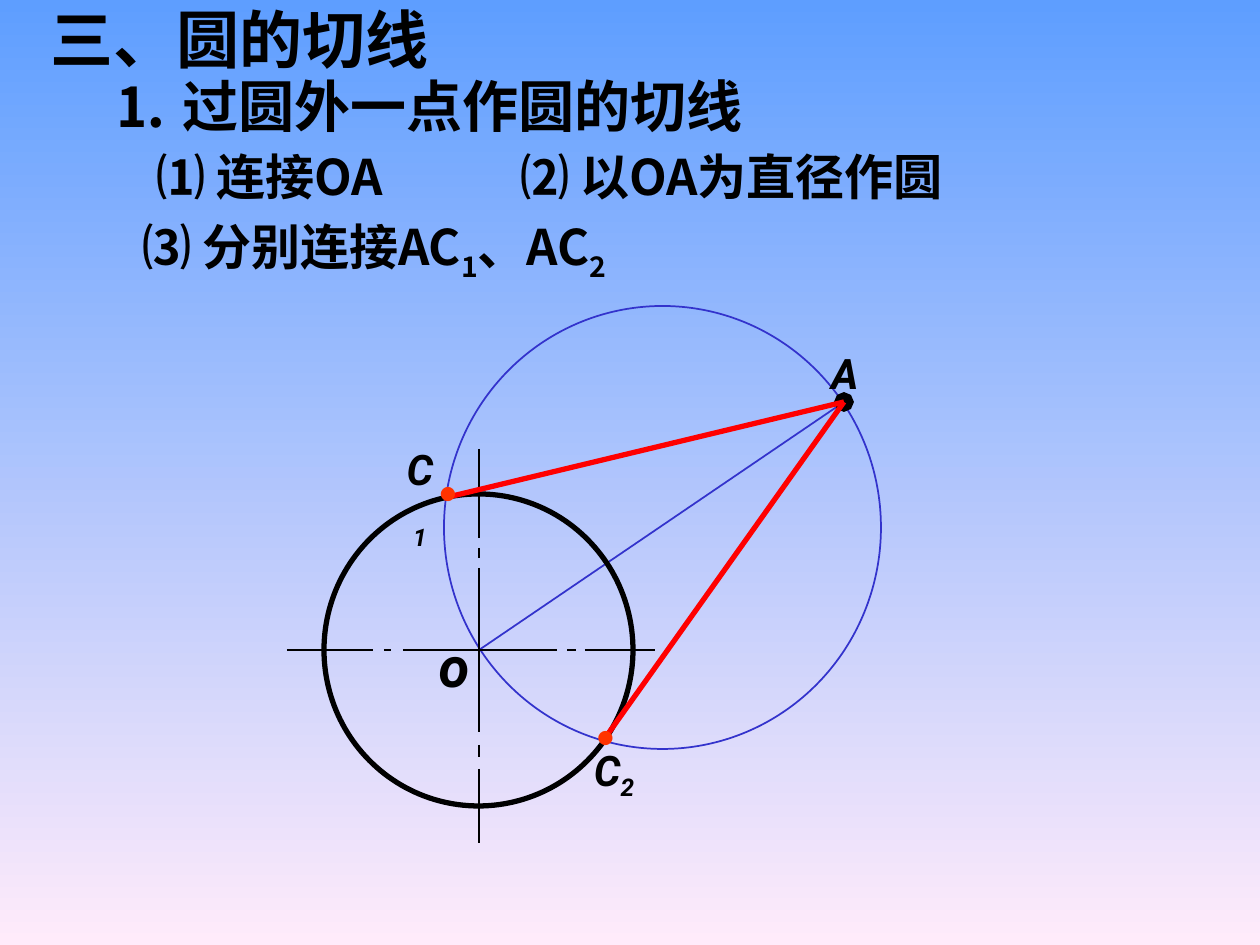
from math import cos, pi, sin

from lxml.etree import SubElement
from pptx import Presentation
from pptx.dml.color import RGBColor
from pptx.enum.shapes import MSO_CONNECTOR, MSO_SHAPE
from pptx.enum.text import MSO_ANCHOR, MSO_AUTO_SIZE, PP_ALIGN
from pptx.oxml.ns import qn
from pptx.util import Inches, Pt

PX = Inches(10) / 1260
COLORS = {
    "sky": "5E9EFF",
    "pink": "FFEBFA",
    "ink": "000000",
    "construction": "3333CC",
    "tangent": "FF0000",
    "contact": "FF3300",
}
HAN, LATIN = "Noto Sans CJK SC", "Roboto"

prs = Presentation()
prs.slide_width, prs.slide_height = Inches(10), Inches(7.5)
slide = prs.slides.add_slide(prs.slide_layouts[5])
shapes = slide.shapes

background = slide.background.fill
background.gradient()
background.gradient_angle = 270
for stop, name in zip(background.gradient_stops, ("sky", "pink")):
    stop.color.rgb = RGBColor.from_string(COLORS[name])


def write(holder, box, pieces, size, font=HAN, color="ink", centred=False, wrap=False):
    """Place a text holder and fill it; every second piece is a subscript."""
    holder.left, holder.top, holder.width, holder.height = (round(v * PX) for v in box)
    frame = holder.text_frame
    frame.word_wrap = wrap
    frame.auto_size = MSO_AUTO_SIZE.NONE
    frame.vertical_anchor = MSO_ANCHOR.TOP
    paragraph = frame.paragraphs[0]
    paragraph.alignment = PP_ALIGN.CENTER if centred else PP_ALIGN.LEFT
    for index, piece in enumerate(pieces):
        run = paragraph.add_run()
        run.text = piece
        run.font.size = Pt(size)
        run.font.bold = True
        run.font.italic = font == LATIN
        run.font.color.rgb = RGBColor.from_string(COLORS[color])
        run.font.name = font
        properties = run.font._element
        SubElement(properties, qn("a:ea")).set("typeface", font)
        if index % 2:
            properties.set("baseline", "-25000")


def draw_line(start, end, color, weight):
    ends = [round(v * PX) for v in (*start, *end)]
    line = shapes.add_connector(MSO_CONNECTOR.STRAIGHT, *ends)
    line.line.color.rgb = RGBColor.from_string(COLORS[color])
    line.line.width = Pt(weight)
    SubElement(line._element.spPr, qn("a:effectLst"))


# Headings and construction steps
write(shapes.title, (38, -6, 440, 88), ["三、圆的切线"], 36)
steps = [
    ((101, 65, 654, 81), ["⒈ 过圆外一点作圆的切线"], 32),
    ((144, 140, 263, 72), ["⑴ 连接OA"], 28),
    ((508, 140, 471, 72), ["⑵ 以OA为直径作圆"], 28),
    ((130, 210, 525, 79), ["⑶ 分别连接AC", "1", "、AC", "2"], 28),
]
for box, pieces, size in steps:
    write(shapes.add_textbox(0, 0, 0, 0), box, pieces, size)

# Segment OA, the circle on it as diameter, and the given circle
centre_o, point_a = (479, 650), (844, 402)
draw_line(centre_o, point_a, "construction", 1)
circles = [
    ((444, 306, 437, 443), "construction", 1),
    ((324, 494, 309, 312), "ink", 3),
]
for box, color, weight in circles:
    circle = shapes.add_shape(MSO_SHAPE.OVAL, *(round(v * PX) for v in box))
    circle.shadow.inherit = False
    circle.fill.background()
    circle.line.color.rgb = RGBColor.from_string(COLORS[color])
    circle.line.width = Pt(weight)

# Dash-dot centre lines through O
for top, bottom in [(449, 538), (548, 558), (568, 732), (745, 757), (769, 843)]:
    draw_line((centre_o[0], top), (centre_o[0], bottom), "ink", 1.5)
for left, right in [(287, 373), (384, 391), (403, 557), (567, 576), (585, 655)]:
    draw_line((left, centre_o[1]), (right, centre_o[1]), "ink", 1.5)

# Point A is an octagon
corners = [
    (point_a[0] + 10 * cos(k * pi / 4), point_a[1] + 10 * sin(k * pi / 4))
    for k in range(8)
]
builder = shapes.build_freeform(*corners[0], scale=PX)
builder.add_line_segments(corners[1:], close=True)
dot_a = builder.convert_to_shape()
dot_a.shadow.inherit = False
dot_a.fill.solid()
dot_a.fill.fore_color.rgb = RGBColor.from_string(COLORS["ink"])
dot_a.line.fill.background()

# Tangents from A
for contact in [(603, 741), (444, 498)]:
    draw_line(point_a, contact, "tangent", 3)

# Point names and contact points
marks = [
    ((425, 625, 58, 81), ["o"], 32, LATIN, "ink", False),
    ((819, 341, 52, 63), ["A"], 24, LATIN, "ink", False),
    ((577, 738, 74, 71), ["C", "2"], 24, LATIN, "ink", False),
    ((586, 723, 39, 32), ["●"], 9, HAN, "contact", False),
    ((388, 437, 64, 71), ["C", "1"], 24, LATIN, "ink", True),
    ((427, 479, 42, 32), ["●"], 9, HAN, "contact", True),
]
for box, pieces, size, font, color, wrap in marks:
    write(shapes.add_textbox(0, 0, 0, 0), box, pieces, size, font, color, True, wrap)

prs.save("out.pptx")
